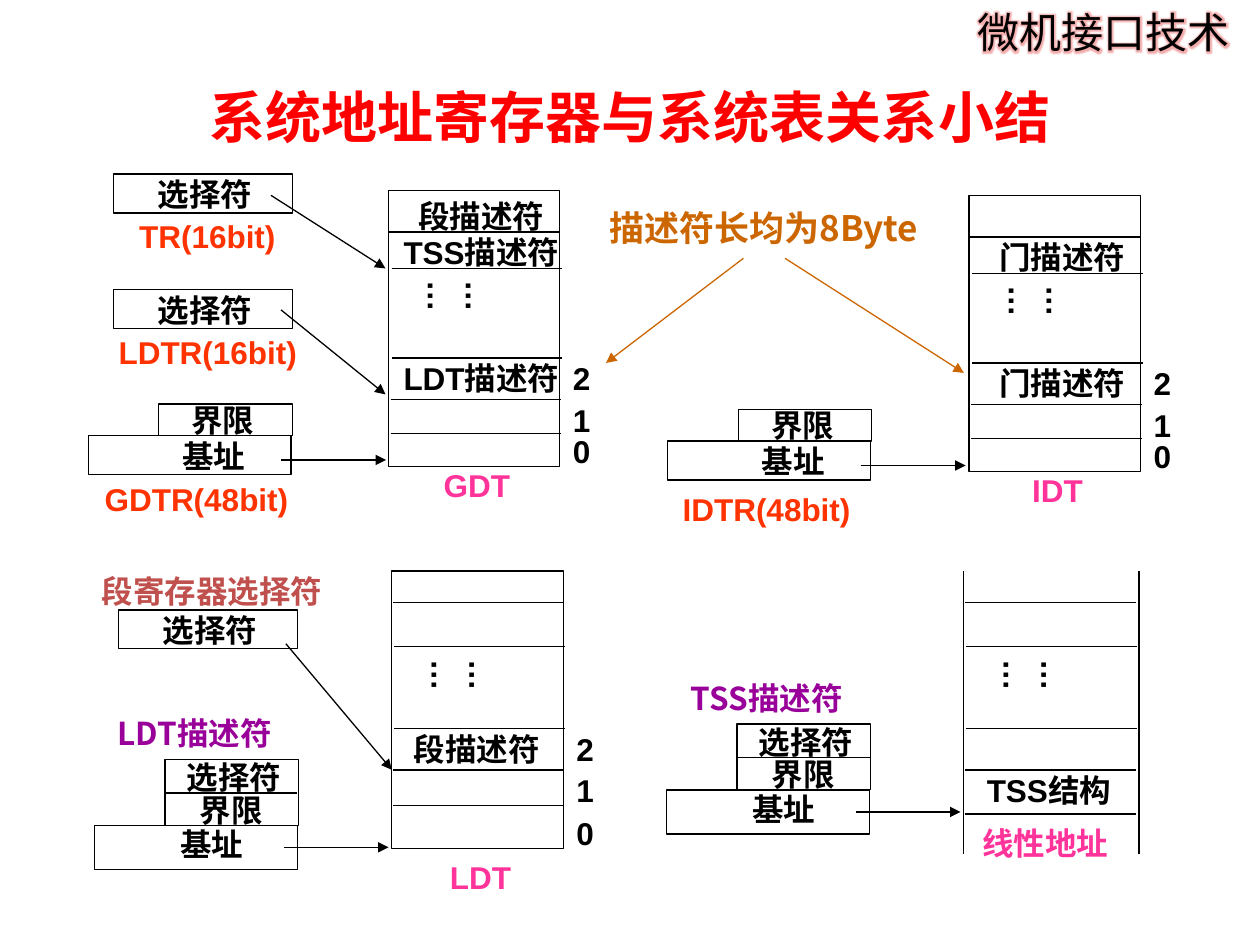
import dataclasses

import pptx
import pptx.dml.color
import pptx.enum.shapes
import pptx.enum.text
import pptx.oxml
import pptx.oxml.ns
import pptx.util

Pt = pptx.util.Pt
Align = pptx.enum.text.PP_ALIGN
Anchor = pptx.enum.text.MSO_ANCHOR
Shape = pptx.enum.shapes.MSO_SHAPE
NAMESPACE = pptx.oxml.ns.nsdecls("a")


@dataclasses.dataclass(frozen=True)
class Theme:
    latin: str = "Arial"
    chinese: str = "Noto Sans CJK SC"
    title_latin: str = "Calibri"
    black: str = "000000"
    title: str = "FF0000"
    register: str = "FF3300"
    table: str = "FF3399"
    descriptor: str = "990099"
    segment: str = "C0504D"
    note: str = "CC6600"
    glow: str = "E03030"
    body_size: float = 18
    note_size: float = 20
    header_size: float = 24
    title_size: float = 32
    line_width: float = 0.75


THEME = Theme()
INSETS = (1.44, 0.72)
ARROW_LENGTH = 60
SYSTEM_ROWS = ((0, 23.8), (2, 44.6), (2, 95.8), (1.4, 119.5), (1.4, 139))
LOCAL_ROWS = ((0.7, 18), (1.4, 43.2), (1.4, 90), (0.7, 113.8), (0.7, 134))
MEMORY_ROWS = LOCAL_ROWS[:4] + ((0.7, 139),)


def set_values(target, values):
    for name, value in values.items():
        setattr(target, name, value)


def colour(value):
    return pptx.dml.color.RGBColor.from_string(value)


def add_span(para, text, size, color, latin, bold=True):
    span = para.add_run()
    span.text = text
    set_values(span.font, {"size": Pt(size), "bold": bold, "name": latin})
    span.font.color.rgb = colour(color)
    east_asian = f'<a:ea {NAMESPACE} typeface="{THEME.chinese}"/>'
    span.font._element.find(pptx.oxml.ns.qn("a:latin")).addnext(
        pptx.oxml.parse_xml(east_asian))
    return span


def add_label(slide, text, left, top, width, height, color=THEME.black,
              size=THEME.body_size, latin=THEME.latin, align=Align.CENTER,
              insets=INSETS, bold=True):
    box = slide.shapes.add_textbox(Pt(left), Pt(top), Pt(width), Pt(height))
    across, down = map(Pt, insets)
    set_values(box.text_frame, {
        "word_wrap": True, "vertical_anchor": Anchor.TOP,
        "margin_left": across, "margin_right": across,
        "margin_top": down, "margin_bottom": down})
    para = box.text_frame.paragraphs[0]
    para.alignment = align
    add_span(para, text, size, color, latin, bold)
    return box


def add_frame(slide, left, top, width, height):
    frame = slide.shapes.add_shape(
        Shape.RECTANGLE, Pt(left), Pt(top), Pt(width), Pt(height))
    frame.shadow.inherit = False
    frame.fill.background()
    frame.line.color.rgb = colour(THEME.black)
    frame.line.width = Pt(THEME.line_width)


def add_line(slide, start, end, color=THEME.black, arrow=False):
    line = slide.shapes.add_connector(
        pptx.enum.shapes.MSO_CONNECTOR.STRAIGHT, *map(Pt, start + end))
    line.line.color.rgb = colour(color)
    line.line.width = Pt(THEME.line_width)
    properties = line._element.spPr
    if arrow:
        properties.find(pptx.oxml.ns.qn("a:ln")).append(
            pptx.oxml.parse_xml(f'<a:tailEnd {NAMESPACE} type="triangle"/>'))
    properties.append(pptx.oxml.parse_xml(f"<a:effectLst {NAMESPACE}/>"))


def add_rows(slide, left, top, rows, dots_top):
    """Draw the row rules of a table and its vertical ellipsis."""
    for shift, offset in rows:
        start = (left + shift, top + offset)
        add_line(slide, start, (start[0] + 97.5, start[1]))
    dots = add_label(slide, "……", left + 29.8, top + dots_top, 34, 33)
    dots.text_frame._txBody.bodyPr.set("vert", "eaVert")


def add_table_box(slide, name, left, top, height, rows, dots_top, name_top):
    add_frame(slide, left, top, 98, height)
    add_rows(slide, left, top, rows, dots_top)
    for index, offset in enumerate((height - 20.5, rows[3][1], rows[2][1])):
        add_label(slide, str(index), left + 98.6, top + offset, 23.8, 19.5)
    add_label(slide, name, left + 25.8, top + name_top, 49.7, 19.4, THEME.table)


def add_system_table(slide, name, left, top, entries):
    add_table_box(slide, name, left, top, 157.7, SYSTEM_ROWS, 51.1, 157)
    for text, offset in entries:
        add_label(slide, text, left - 1.4, top + offset, 109.4, 23,
                  insets=(0, 0))


def add_selector(slide, left, top):
    add_frame(slide, left, top, 102.2, 22.3)
    add_label(slide, "选择符", left + 23.8, top, 66.2, 18, align=Align.JUSTIFY)


def add_base_register(slide, left, top):
    """Draw a limit field above a base field, with an arrow to the table."""
    add_frame(slide, left, top, 116, 22.3)
    add_frame(slide, left + 40.3, top - 18, 76.3, 18)
    add_label(slide, "基址", left + 42.5, top, 58.3, 20.9)
    add_label(slide, "界限", left + 42.8, top - 20.5, 68.4, 18.7)
    add_line(slide, (left + 110.2, top + 14),
             (left + 110.2 + ARROW_LENGTH, top + 14), arrow=True)


def add_descriptor(slide, name, left, top):
    """Draw selector, limit and base fields under the descriptor's name."""
    add_frame(slide, left, top, 116, 25.2)
    add_frame(slide, left + 40.3, top - 37.7, 76.3, 37.7)
    add_line(slide, (left + 41, top - 18.4), (left + 116, top - 18.4))
    add_label(slide, "基址", left + 47.5, top - 0.7, 48.2, 22.3,
              align=Align.JUSTIFY)
    add_label(slide, "界限", left + 43.9, top - 20.5, 68.4, 20.9)
    add_label(slide, "选择符", left + 45.4, top - 38.9, 68.4, 20.9)
    add_label(slide, name, left + 7.9, top - 64.1, 98.6, 23.4,
              THEME.descriptor, latin=THEME.chinese)
    add_line(slide, (left + 108, top + 12.6),
             (left + 108 + ARROW_LENGTH, top + 12.6), arrow=True)


def add_title(slide):
    title = slide.shapes.title
    set_values(title, {"left": Pt(36), "top": Pt(21.6),
                       "width": Pt(648), "height": Pt(90)})
    title.text_frame.vertical_anchor = Anchor.MIDDLE
    para = title.text_frame.paragraphs[0]
    para.alignment = Align.CENTER
    for text, latin in (("系统地址寄存器与系统表关系", THEME.chinese),
                        ("小结", THEME.title_latin)):
        add_span(para, text, THEME.title_size, THEME.title, latin)


def add_header(slide):
    header = add_label(slide, "微机接口技术", 551.5, 0, 168.5, 36,
                       size=THEME.header_size, latin=THEME.chinese,
                       align=Align.LEFT, insets=(7.2, 3.6), bold=False)
    font = header.text_frame.paragraphs[0].runs[0].font
    font._element.find(pptx.oxml.ns.qn("a:solidFill")).addnext(
        pptx.oxml.parse_xml(
            f'<a:effectLst {NAMESPACE}><a:glow rad="{Pt(5)}">'
            f'<a:srgbClr val="{THEME.glow}"><a:alpha val="40000"/>'
            "</a:srgbClr></a:glow></a:effectLst>"))


def add_linear_memory(slide, left, top):
    for edge in (left, left + 100):
        add_line(slide, (edge, top), (edge, top + 162))
    add_rows(slide, left, top, MEMORY_ROWS, 49.7)
    add_label(slide, "TSS结构", left + 6.5, top + 113.8, 84.2, 18)
    add_label(slide, "线性地址", left + 5.8, top + 144, 81.4, 17.3, THEME.table)


def main():
    deck = pptx.Presentation()
    set_values(deck, {"slide_width": Pt(720), "slide_height": Pt(540)})
    slide = deck.slides.add_slide(deck.slide_layouts[5])
    add_header(slide)
    add_title(slide)

    add_descriptor(slide, "TSS描述符", 380.9, 451.4)
    add_linear_memory(slide, 550.8, 326.2)

    add_descriptor(slide, "LDT描述符", 54, 471.6)
    add_table_box(slide, "LDT", 223.9, 326.2, 158.6, LOCAL_ROWS, 49.7, 163.4)
    add_label(slide, "段描述符", 230.4, 416.2, 84.2, 18)

    add_base_register(slide, 381.6, 252)
    add_system_table(slide, "IDT", 553.7, 111.6,
                     (("门描述符", 24.5), ("门描述符", 96.5)))
    add_base_register(slide, 50.4, 248.8)
    add_system_table(slide, "GDT", 221.8, 108.7,
                     (("段描述符", 3.6), ("TSS描述符", 24.5),
                      ("LDT描述符", 96.5)))

    for left, top in ((64.8, 99.4), (64.8, 165.6), (67.7, 348.5)):
        add_selector(slide, left, top)
    for text, left, top, width, color in (
            ("TR(16bit)", 70.6, 123.1, 95.8, THEME.register),
            ("LDTR(16bit)", 64.8, 189.4, 108, THEME.register),
            ("GDTR(48bit)", 58.3, 273.6, 108, THEME.register),
            ("IDTR(48bit)", 378, 279.4, 120.2, THEME.register),
            ("段寄存器选择符", 55.4, 326.2, 131.8, THEME.segment)):
        add_label(slide, text, left, top, width, 23.8, color)
    add_label(slide, "描述符长均为8Byte", 346.3, 117.4, 180, 23.8, THEME.note,
              THEME.note_size, THEME.chinese)

    for start, end, color in (
            ((154.8, 111.6), (220.3, 153.4), THEME.black),
            ((160.6, 177.1), (220.3, 225.4), THEME.black),
            ((163.4, 367.9), (223.9, 439.9), THEME.black),
            ((424.8, 147.6), (346.3, 207.4), THEME.note),
            ((448.6, 147.6), (550.8, 213.1), THEME.note)):
        add_line(slide, start, end, color, arrow=True)
    deck.save("out.pptx")


if __name__ == "__main__":
    main()
